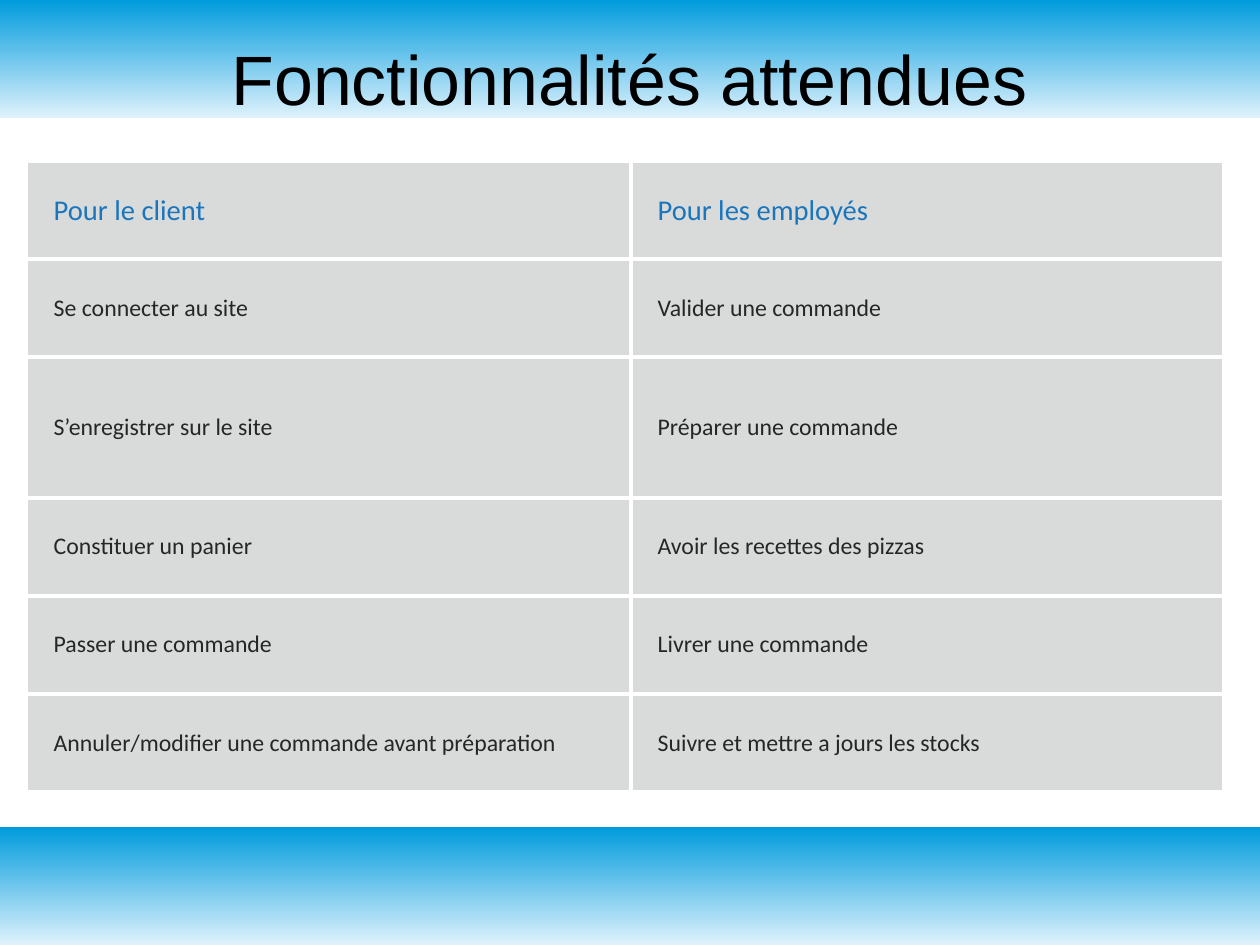
from dataclasses import dataclass

from lxml.etree import SubElement
from pptx import Presentation
from pptx.dml.color import RGBColor as Rgb
from pptx.enum.shapes import MSO_SHAPE as Shape
from pptx.enum.text import MSO_ANCHOR as Anchor, PP_ALIGN as Align
from pptx.oxml.ns import qn
from pptx.util import Cm, Inches, Pt


@dataclass(frozen=True)
class Theme:
    title_font: str = "Arial"
    table_font: str = "Calibri"
    title_size: float = 44
    header_size: float = 18
    body_size: float = 15
    title_color: str = "000000"
    header_color: str = "1B75BC"
    body_color: str = "262626"
    band_bottom: str = "DFF2FC"
    band_top: str = "009BDD"
    cell_fill: str = "878E8B"
    cell_opacity: int = 31
    rule_color: str = "FFFFFF"
    thin_rule: float = 0.96
    thick_rule: float = 3


THEME = Theme()
WIDTH, HEIGHT = Cm(28), Cm(21)
BAND_SHARE = 0.125
TABLE_LEFT, TABLE_TOP = Cm(0.61), Cm(3.61)
COLUMNS = [Cm(13.42), Cm(13.17)]
BASE_ROW = Cm(2.18)
SPECIAL_ROWS = {0: Cm(2.15), 2: Cm(3.12)}

FEATURES = [
    ("Pour le client", "Pour les employés"),
    ("Se connecter au site", "Valider une commande"),
    ("S’enregistrer sur le site", "Préparer une commande"),
    ("Constituer un panier", "Avoir les recettes des pizzas"),
    ("Passer une commande", "Livrer une commande"),
    ("Annuler/modifier une commande avant préparation",
     "Suivre et mettre a jours les stocks"),
]


def apply_format(target, values):
    for name, value in values.items():
        setattr(target, name, value)


def write_text(frame, text, font, size, color, align=Align.LEFT):
    para = frame.paragraphs[0]
    para.alignment = align
    span = para.add_run()
    span.text = text
    apply_format(span.font, {"name": font, "size": Pt(size), "bold": False})
    span.font.color.rgb = Rgb.from_string(color)


def add_band(page, top):
    band = page.shapes.add_shape(
        Shape.RECTANGLE, 0, top, WIDTH, int(HEIGHT * BAND_SHARE))
    band.shadow.inherit = False
    band.line.fill.background()
    band.fill.gradient()
    band.fill.gradient_angle = 90
    colors = (THEME.band_bottom, THEME.band_top)
    for position, (stop, color) in enumerate(zip(band.fill.gradient_stops, colors)):
        stop.position = position
        stop.color.rgb = Rgb.from_string(color)


def add_title(page, text):
    box = page.shapes.add_textbox(
        int(WIDTH * 0.05), int(HEIGHT * 0.04), int(WIDTH * 0.9), int(HEIGHT * 0.084))
    frame = box.text_frame
    apply_format(frame, {
        "word_wrap": True, "vertical_anchor": Anchor.MIDDLE,
        "margin_left": 0, "margin_right": 0, "margin_top": 0, "margin_bottom": 0,
    })
    write_text(frame, text, THEME.title_font, THEME.title_size,
               THEME.title_color, Align.CENTER)


def add_paint(parent, color):
    paint = SubElement(parent, qn("a:solidFill"))
    return SubElement(paint, qn("a:srgbClr"), val=color)


def rule_cell(properties, widths):
    for side, width in widths.items():
        line = SubElement(properties, qn(f"a:ln{side}"), w=str(int(Pt(width))))
        add_paint(line, THEME.rule_color)


def format_cell(cell, text, row, column):
    thin, thick = THEME.thin_rule, THEME.thick_rule
    apply_format(cell, {
        "vertical_anchor": Anchor.MIDDLE,
        "margin_left": Inches(0.23), "margin_right": Inches(0.14),
        "margin_top": Inches(0.05), "margin_bottom": Inches(0.05),
    })
    properties = cell._tc.get_or_add_tcPr()
    rule_cell(properties, {
        "L": thick if column else thin, "R": thick,
        "T": thick if row else thin, "B": thick,
    })
    tint = add_paint(properties, THEME.cell_fill)
    SubElement(tint, qn("a:alpha"), val=str(THEME.cell_opacity * 1000))
    size, color = ((THEME.body_size, THEME.body_color) if row
                   else (THEME.header_size, THEME.header_color))
    write_text(cell.text_frame, text, THEME.table_font, size, color)


def add_features(page, features):
    heights = [SPECIAL_ROWS.get(row, BASE_ROW) for row in range(len(features))]
    table = page.shapes.add_table(
        len(features), len(COLUMNS), TABLE_LEFT, TABLE_TOP,
        sum(COLUMNS), sum(heights)).table
    apply_format(table, {"first_row": False, "horz_banding": False})
    for column, width in zip(table.columns, COLUMNS):
        column.width = width
    for row, (texts, height) in enumerate(zip(features, heights)):
        table.rows[row].height = height
        for column, text in enumerate(texts):
            format_cell(table.cell(row, column), text, row, column)


def main():
    deck = Presentation()
    apply_format(deck, {"slide_width": WIDTH, "slide_height": HEIGHT})
    page = deck.slides.add_slide(deck.slide_layouts[6])
    for top in (0, int(HEIGHT * (1 - BAND_SHARE))):
        add_band(page, top)
    add_title(page, "Fonctionnalités attendues")
    add_features(page, FEATURES)
    deck.save("out.pptx")


if __name__ == "__main__":
    main()
